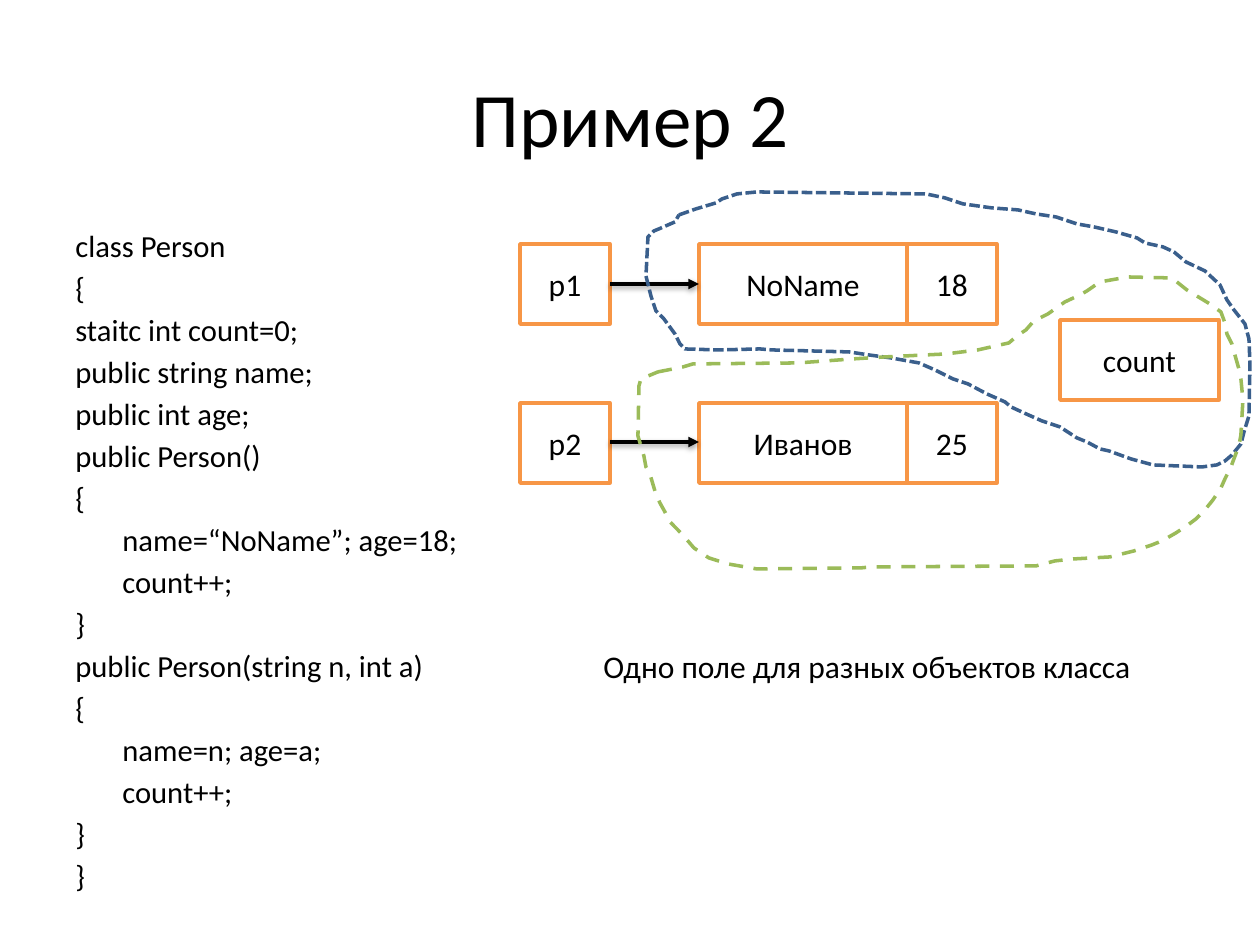
"""Build the slide that shows one static field shared by two objects."""
from lxml import etree
from pptx import Presentation
from pptx.dml.color import RGBColor
from pptx.enum.dml import MSO_LINE_DASH_STYLE as DASH
from pptx.enum.shapes import MSO_CONNECTOR, MSO_SHAPE
from pptx.enum.text import MSO_ANCHOR as ANCHOR, PP_ALIGN as ALIGN
from pptx.oxml import parse_xml
from pptx.oxml.ns import nsdecls, qn
from pptx.util import Pt

PX = 914400 / 126
BLACK, WHITE, ORANGE, BLUE, GREEN = "000000", "FFFFFF", "F79646", "3A5F8C", "9BBB59"


def color(value):
    return RGBColor.from_string(value)


def write(box, text, size, align=ALIGN.LEFT, anchor=ANCHOR.TOP):
    frame = box.text_frame
    frame.word_wrap = True
    frame.vertical_anchor = anchor
    frame.text = text
    for paragraph in frame.paragraphs:
        paragraph.alignment = align
        for span in paragraph.runs:
            span.font.name = "Calibri"
            span.font.size = Pt(size)
            span.font.color.rgb = color(BLACK)
    return frame


deck = Presentation()
deck.slide_width, deck.slide_height = int(1260 * PX), int(945 * PX)
page = deck.slides.add_slide(deck.slide_layouts[6])
shapes = page.shapes

code = """class Person
{
staitc int count=0;
public string name;
public int age;
public Person()
{
    name=“NoName”; age=18;
    count++;
}
public Person(string n, int a)
{
    name=n; age=a;
    count++;
}
}""".split("\n")

texts = [
    ("Пример 2", (63, 38, 1134, 157), 44, ALIGN.CENTER, ANCHOR.MIDDLE),
    ("\n".join(line.strip() for line in code), (63, 221, 557, 624), 17.5, ALIGN.LEFT, ANCHOR.TOP),
    ("Одно поле для разных объектов класса", (591, 641, 606, 50), 18, ALIGN.LEFT, ANCHOR.TOP),
]
frames = []
for text, place, size, align, anchor in texts:
    box = shapes.add_textbox(*(int(v * PX) for v in place))
    frames.append(write(box, text, size, align, anchor))

for number, (line, paragraph) in enumerate(zip(code, frames[1].paragraphs)):
    if number:
        paragraph.space_before = Pt(3)
    if line.startswith(" "):
        paragraph._p.get_or_add_pPr().set("marL", str(int(47 * PX)))

cells = [("count", 1060, 320, 159)]
for top, row in ((244, ("р1", "NoName", "18")), (403, ("р2", "Иванов", "25"))):
    cells += [(text, left, top, width) for text, left, width in zip(row, (520, 699, 907), (90, 208, 90))]
for text, left, top, width in cells:
    box = shapes.add_shape(MSO_SHAPE.RECTANGLE, *(int(v * PX) for v in (left, top, width, 80)))
    box.shadow.inherit = False
    box.fill.solid()
    box.fill.fore_color.rgb = color(WHITE)
    box.line.color.rgb = color(ORANGE)
    box.line.width = Pt(2)
    write(box, text, 18, ALIGN.CENTER, ANCHOR.MIDDLE)

for y in (284, 442):
    arrow = shapes.add_connector(MSO_CONNECTOR.STRAIGHT, *(int(v * PX) for v in (610, y, 699, y)))
    arrow.line.color.rgb = color(BLACK)
    arrow.line.width = Pt(2)
    etree.SubElement(arrow.line._get_or_add_ln(), qn("a:tailEnd"), type="triangle")
    arrow._element.spPr.append(parse_xml(
        f'<a:effectLst {nsdecls("a")}><a:outerShdw blurRad="40000" dist="20000" dir="5400000" '
        'rotWithShape="0"><a:srgbClr val="000000"><a:alpha val="38000"/></a:srgbClr>'
        '</a:outerShdw></a:effectLst>'))

first_object = [
    (679, 215), (696, 209), (716, 203), (722, 199), (737, 194), (757, 192), (926, 194), (945, 198),
    (963, 204), (992, 208), (1018, 210), (1036, 214), (1056, 217), (1077, 224), (1094, 227),
    (1116, 232), (1137, 238), (1145, 243), (1163, 247), (1174, 252), (1186, 262), (1205, 271),
    (1220, 285), (1227, 300), (1234, 310), (1245, 324), (1249, 339), (1250, 364), (1249, 416),
    (1244, 432), (1241, 444), (1232, 455), (1225, 461), (1217, 465), (1202, 467), (1153, 465),
    (1131, 459), (1109, 451), (1100, 449), (1087, 442), (1077, 438), (1060, 427), (1042, 421),
    (1024, 413), (1011, 407), (1005, 402), (987, 394), (968, 384), (953, 379), (935, 370),
    (919, 363), (902, 360), (891, 358), (869, 355), (849, 352), (772, 350), (760, 349), (718, 350),
    (685, 349), (680, 344), (675, 334), (664, 319), (656, 311), (651, 296), (646, 276), (648, 237),
    (654, 231), (659, 229), (675, 222),
]
second_object = [
    (658, 372), (683, 367), (693, 364), (798, 363), (853, 359), (885, 357), (946, 354), (978, 350),
    (1000, 345), (1009, 343), (1017, 336), (1026, 330), (1034, 321), (1048, 314), (1065, 302),
    (1080, 295), (1087, 291), (1100, 282), (1128, 277), (1172, 278), (1187, 290), (1210, 304),
    (1221, 312), (1225, 323), (1227, 334), (1232, 344), (1235, 355), (1239, 369), (1241, 379),
    (1243, 400), (1241, 435), (1239, 446), (1234, 459), (1231, 467), (1225, 479), (1221, 488),
    (1213, 500), (1205, 510), (1196, 519), (1188, 525), (1176, 533), (1162, 541), (1152, 545),
    (1134, 551), (1110, 557), (1074, 559), (1055, 561), (1036, 566), (871, 567), (861, 568),
    (757, 569), (728, 564), (709, 558), (694, 548), (682, 534), (670, 522), (665, 512), (660, 503),
    (655, 491), (650, 474), (646, 467), (644, 456), (641, 446), (638, 436), (639, 386), (641, 379),
]
outlines = ((first_object, BLUE, DASH.SQUARE_DOT), (second_object, GREEN, DASH.DASH))
for points, tint, dash in outlines:
    builder = shapes.build_freeform(*points[0], scale=PX)
    builder.add_line_segments(points[1:], close=True)
    outline = builder.convert_to_shape()
    outline.shadow.inherit = False
    outline.fill.background()
    outline.line.color.rgb = color(tint)
    outline.line.width = Pt(2)
    outline.line.dash_style = dash

deck.save("out.pptx")
